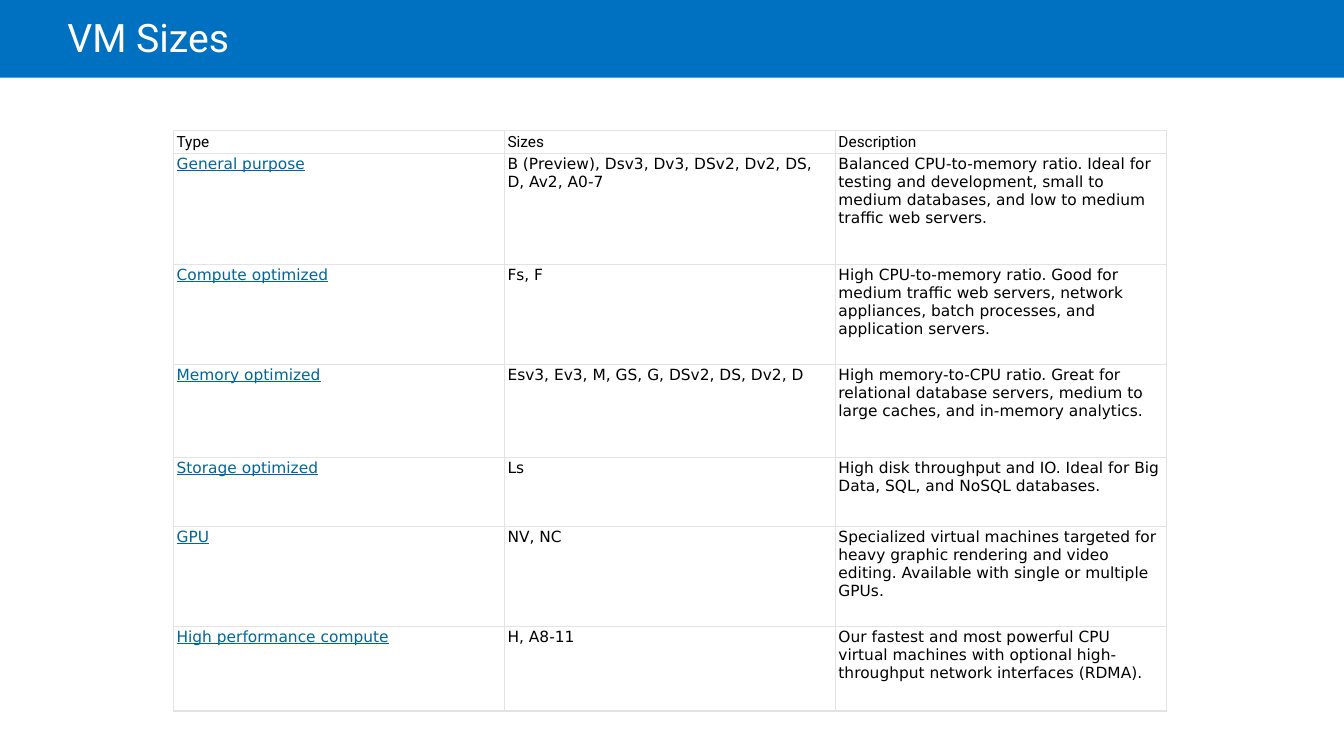
from lxml import etree
from pptx import Presentation
from pptx.dml.color import RGBColor
from pptx.enum import shapes, text
from pptx.oxml import ns
from pptx.util import Cm, Pt

# Content
TITLE = "VM Sizes"
HEAD = ("Type", "Sizes", "Description")
SIZES = [
    ("General purpose", "B (Preview), Dsv3, Dv3, DSv2, Dv2, DS, D, Av2, A0-7",
     "Balanced CPU-to-memory ratio. Ideal for testing and development, small to "
     "medium databases, and low to medium traffic web servers."),
    ("Compute optimized", "Fs, F",
     "High CPU-to-memory ratio. Good for medium traffic web servers, network "
     "appliances, batch processes, and application servers."),
    ("Memory optimized", "Esv3, Ev3, M, GS, G, DSv2, DS, Dv2, D",
     "High memory-to-CPU ratio. Great for relational database servers, medium to "
     "large caches, and in-memory analytics."),
    ("Storage optimized", "Ls",
     "High disk throughput and IO. Ideal for Big Data, SQL, and NoSQL databases."),
    ("GPU", "NV, NC",
     "Specialized virtual machines targeted for heavy graphic rendering and video "
     "editing. Available with single or multiple GPUs."),
    ("High performance compute", "H, A8-11",
     "Our fastest and most powerful CPU virtual machines with optional "
     "high-throughput network interfaces (RDMA)."),
]
ROWS = [HEAD] + SIZES
HEIGHTS = (0.58, 2.79, 2.53, 2.34, 1.73, 2.53, 2.13)
COL = 8.34

# Look
BLUE = RGBColor(0x00, 0x70, 0xC0)
LINK = RGBColor(0x00, 0x66, 0x99)
GREY = RGBColor(0xE3, 0xE3, 0xE3)
BLACK = RGBColor(0, 0, 0)
WHITE = RGBColor(255, 255, 255)
SANS, BODY = "Roboto", "DejaVu Sans"


def write(par, words, face, size, color, under=False):
    run = par.add_run()
    run.text = words
    font = run.font
    font.name, font.size, font.color.rgb = face, Pt(size), color
    if under:
        font.underline = True


def pad(box, left, top, right, bottom):
    box.margin_left, box.margin_top = Cm(left), Cm(top)
    box.margin_right, box.margin_bottom = Cm(right), Cm(bottom)


def edge(cell, side, width):
    line = etree.SubElement(cell._tc.get_or_add_tcPr(), ns.qn("a:" + side),
                            w=str(Pt(width)))
    fill = etree.SubElement(line, ns.qn("a:solidFill"))
    etree.SubElement(fill, ns.qn("a:srgbClr"), val=str(GREY))


def main():
    deck = Presentation()
    deck.slide_width, deck.slide_height = Cm(33.87), Cm(19.05)
    slide = deck.slides.add_slide(deck.slide_layouts[6])

    # Title band
    band = slide.shapes.add_shape(shapes.MSO_SHAPE.RECTANGLE, 0, 0,
                                  deck.slide_width, Cm(1.96))
    band.shadow.inherit = False
    band.fill.solid()
    band.fill.fore_color.rgb = BLUE
    band.line.fill.background()

    box = slide.shapes.add_textbox(Cm(1.7), 0, Cm(28.8), Cm(2.06))
    frame = box.text_frame
    frame.word_wrap = True
    frame.vertical_anchor = text.MSO_ANCHOR.MIDDLE
    pad(frame, 0, 0.13, 0.25, 0.13)
    par = frame.paragraphs[0]
    par.line_spacing = 0.85
    write(par, TITLE, SANS, 28, WHITE)

    # Table of sizes
    grid = slide.shapes.add_table(len(ROWS), len(HEAD), Cm(4.37), Cm(3.29),
                                  Cm(COL * len(HEAD)), Cm(sum(HEIGHTS))).table
    grid.first_row = grid.horz_banding = False
    for col in grid.columns:
        col.width = Cm(COL)
    last = len(ROWS) - 1
    for r, (row, high) in enumerate(zip(ROWS, HEIGHTS)):
        grid.rows[r].height = Cm(high)
        for c, words in enumerate(row):
            cell = grid.cell(r, c)
            pad(cell, 0.08, 0.05, 0.08, 0.05)
            cell.vertical_anchor = (text.MSO_ANCHOR.TOP if r
                                    else text.MSO_ANCHOR.BOTTOM)
            # Borders come before the fill in the cell's properties
            edge(cell, "lnL", 1)
            edge(cell, "lnR", 1)
            edge(cell, "lnT", 0.75 if r else 1)
            edge(cell, "lnB", 0.75 if r < last else 1)
            cell.fill.solid()
            cell.fill.fore_color.rgb = WHITE
            link = r > 0 and c == 0
            write(cell.text_frame.paragraphs[0], words, BODY if r else SANS, 11,
                  LINK if link else BLACK, link)

    deck.save("out.pptx")


if __name__ == "__main__":
    main()
